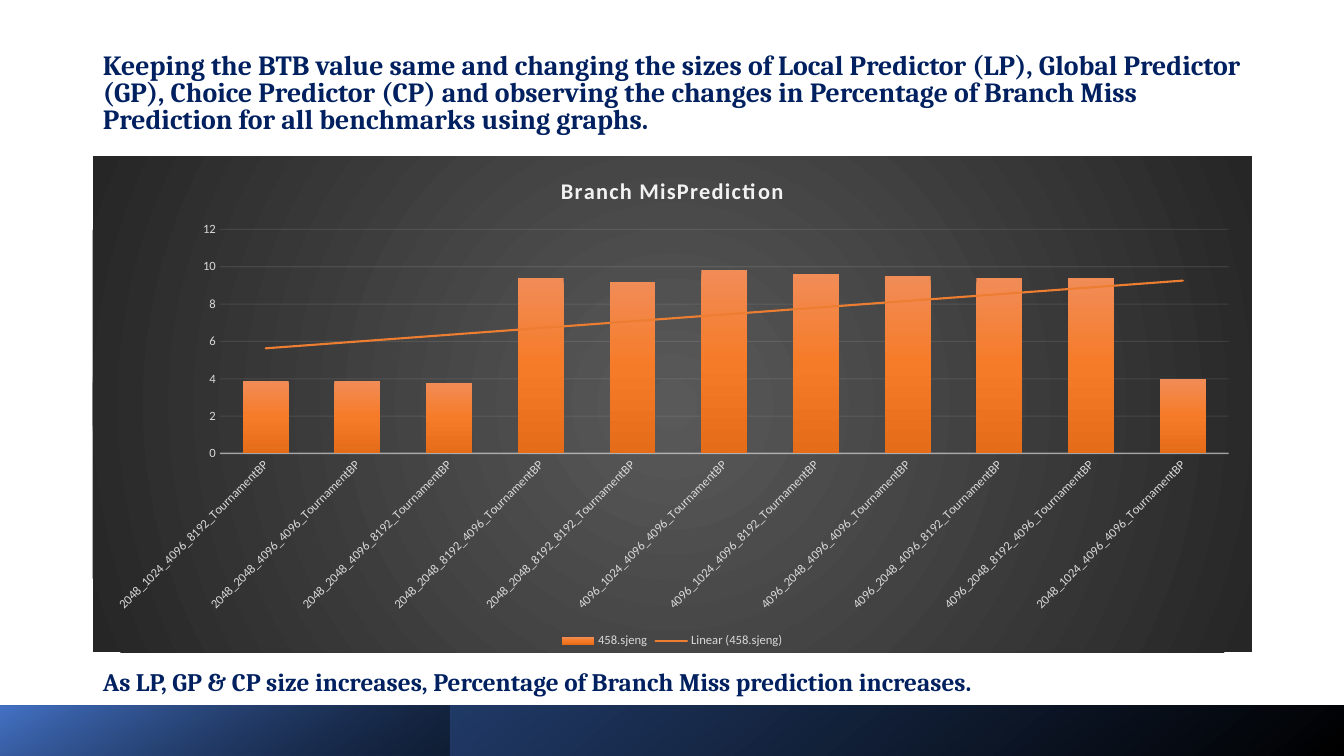
from dataclasses import dataclass

from lxml.etree import SubElement
from pptx import Presentation
from pptx.chart.data import CategoryChartData
from pptx.dml.color import RGBColor
from pptx.enum.chart import XL_CHART_TYPE, XL_LEGEND_POSITION, XL_TICK_MARK
from pptx.enum.shapes import MSO_SHAPE
from pptx.enum.text import MSO_ANCHOR, MSO_AUTO_SIZE, PP_ALIGN
from pptx.oxml import parse_xml
from pptx.oxml.ns import nsdecls, qn
from pptx.util import Pt


@dataclass(frozen=True)
class Theme:
    ink: str = "002060"
    pale: str = "F2F2F2"
    label: str = "D9D9D9"
    trend: str = "ED7D31"
    serif: str = "Cambria"
    sans: str = "Calibri"
    head: float = 19.8
    note: float = 18
    chart: float = 16
    small: float = 9


@dataclass(frozen=True)
class Stop:
    place: int
    color: str
    alpha: int = 100


@dataclass(frozen=True)
class Blend:
    stops: tuple[Stop, ...]
    angle: int | None = None


@dataclass(frozen=True)
class Band:
    width: float
    blend: Blend


@dataclass(frozen=True)
class Block:
    top: float
    height: float
    text: str
    size: float
    spacing: float
    inset: float
    fit: MSO_AUTO_SIZE


THEME = Theme()
WIDE, HIGH = 960, 540
LEFT, SPAN = 66.24, 828
FLOOR = 504

BANDS = (
    Band(WIDE, Blend((Stop(0, "000000"), Stop(100, "2F5597")), 230)),
    Band(321.3, Blend((Stop(0, "000000", 46), Stop(99, "4472C4")), 240)),
)
PANEL = Blend((Stop(0, "595959"), Stop(100, "262626")))
BAR = Blend((Stop(0, "F18C57"), Stop(50, "F67B28"), Stop(100, "E56C19")), 90)

HEAD = Block(
    38.9, 104.4,
    "Keeping the BTB value same and changing the sizes of Local Predictor (LP), "
    "Global Predictor (GP), Choice Predictor (CP) and observing the changes in "
    "Percentage of Branch Miss Prediction for all benchmarks using graphs.",
    THEME.head, 0.8, 0, MSO_AUTO_SIZE.NONE,
)
NOTE = Block(
    472.3, 29,
    "As LP, GP & CP size increases, Percentage of Branch Miss prediction increases.",
    THEME.note, 1, 3.6, MSO_AUTO_SIZE.SHAPE_TO_FIT_TEXT,
)
RATES = {
    "2048_1024_4096_8192": 3.9,
    "2048_2048_4096_4096": 3.9,
    "2048_2048_4096_8192": 3.8,
    "2048_2048_8192_4096": 9.4,
    "2048_2048_8192_8192": 9.2,
    "4096_1024_4096_4096": 9.8,
    "4096_1024_4096_8192": 9.6,
    "4096_2048_4096_4096": 9.5,
    "4096_2048_4096_8192": 9.4,
    "4096_2048_8192_4096": 9.4,
    "2048_1024_4096_4096": 4,
}


def paint(props, blend: Blend) -> None:
    stops = "".join(
        f'<a:gs pos="{s.place * 1000}"><a:srgbClr val="{s.color}">'
        f'<a:alpha val="{s.alpha * 1000}"/></a:srgbClr></a:gs>'
        for s in blend.stops
    )
    if blend.angle is None:
        way = ('<a:path path="circle"><a:fillToRect l="50000" t="50000" '
               'r="50000" b="50000"/></a:path>')
    else:
        way = f'<a:lin ang="{blend.angle * 60000}" scaled="0"/>'
    props.append(parse_xml(
        f'<a:gradFill {nsdecls("a")} rotWithShape="1">'
        f'<a:gsLst>{stops}</a:gsLst>{way}</a:gradFill>'
    ))


def style(font, size: float, color: str, face: str, bold: bool = False) -> None:
    font.size, font.name, font.bold = Pt(size), face, bold
    font.color.rgb = RGBColor.from_string(color)


def stroke(line, color: str, width: float, alpha: int) -> None:
    line.width = Pt(width)
    line.color.rgb = RGBColor.from_string(color)
    tint = line.fill._xPr.find(qn("a:solidFill"))[0]
    SubElement(tint, qn("a:alpha")).set("val", str(alpha * 1000))


def add_band(slide, band: Band) -> None:
    shape = slide.shapes.add_shape(
        MSO_SHAPE.RECTANGLE, 0, Pt(FLOOR), Pt(band.width), Pt(HIGH - FLOOR))
    shape.shadow.inherit = False
    shape.line.fill.background()
    props = shape._element.spPr
    paint(props, band.blend)
    props.find(qn("a:prstGeom")).addnext(props[-1])


def fill_text(holder, block: Block) -> None:
    holder.left, holder.top = Pt(LEFT), Pt(block.top)
    holder.width, holder.height = Pt(SPAN), Pt(block.height)
    frame = holder.text_frame
    frame.word_wrap = True
    frame.auto_size = block.fit
    frame.vertical_anchor = MSO_ANCHOR.TOP
    frame.margin_top = frame.margin_bottom = Pt(block.inset)
    para = frame.paragraphs[0]
    para.alignment = PP_ALIGN.LEFT
    para.line_spacing = block.spacing
    para.space_before = Pt(0)
    props = para._p.get_or_add_pPr()
    props.set("marL", "0")
    props.set("indent", "0")
    SubElement(props, qn("a:buNone"))
    run = para.add_run()
    run.text = block.text
    style(run.font, block.size, THEME.ink, THEME.serif, True)


def add_graph(slide) -> None:
    data = CategoryChartData()
    data.categories = [f"{key}_TournamentBP" for key in RATES]
    data.add_series("458.sjeng", list(RATES.values()))
    chart = slide.shapes.add_chart(
        XL_CHART_TYPE.COLUMN_CLUSTERED,
        Pt(LEFT), Pt(111.6), Pt(SPAN), Pt(354.24), data).chart
    style(chart.font, THEME.small, THEME.label, THEME.sans)

    root = chart._chartSpace
    panel = parse_xml(f'<c:spPr {nsdecls("c", "a")}/>')
    paint(panel, PANEL)
    SubElement(SubElement(panel, qn("a:ln")), qn("a:noFill"))
    root.find(qn("c:chart")).addnext(panel)

    chart.has_title = True
    run = chart.chart_title.text_frame.paragraphs[0].add_run()
    run.text = "Branch MisPrediction"
    style(run.font, THEME.chart, THEME.pale, THEME.sans, True)
    run._r.get_or_add_rPr().set("spc", "100")
    chart.chart_title.include_in_layout = False

    chart.has_legend = True
    chart.legend.position = XL_LEGEND_POSITION.BOTTOM
    chart.legend.include_in_layout = False
    style(chart.legend.font, THEME.small, THEME.label, THEME.sans)

    names, rates = chart.category_axis, chart.value_axis
    for axis in (names, rates):
        axis.major_tick_mark = axis.minor_tick_mark = XL_TICK_MARK.NONE
        style(axis.tick_labels.font, THEME.small, THEME.label, THEME.sans)
    names._element.find(qn("c:txPr"))[0].set("rot", "-2700000")
    stroke(names.format.line, THEME.pale, 1, 54)
    rates.minimum_scale, rates.maximum_scale, rates.major_unit = 0, 12, 2
    rates.format.line.fill.background()
    stroke(rates.major_gridlines.format.line, THEME.pale, 0.75, 10)

    plot = chart.plots[0]
    plot.gap_width, plot.overlap, plot.vary_by_categories = 100, -24, False
    bars = plot.series[0]._element
    paint(bars.get_or_add_spPr(), BAR)
    bars.find(qn("c:cat")).addprevious(parse_xml(
        f'<c:trendline {nsdecls("c", "a")}><c:spPr><a:ln w="{Pt(1.5)}" cap="rnd">'
        f'<a:solidFill><a:srgbClr val="{THEME.trend}"/></a:solidFill></a:ln></c:spPr>'
        '<c:trendlineType val="linear"/><c:dispRSqr val="0"/><c:dispEq val="0"/>'
        '</c:trendline>'
    ))


def main() -> None:
    deck = Presentation()
    deck.slide_width, deck.slide_height = Pt(WIDE), Pt(HIGH)
    slide = deck.slides.add_slide(deck.slide_layouts[1])
    for band in BANDS:
        add_band(slide, band)
    fill_text(slide.shapes.title, HEAD)
    add_graph(slide)
    fill_text(slide.placeholders[1], NOTE)
    deck.save("out.pptx")


if __name__ == "__main__":
    main()
